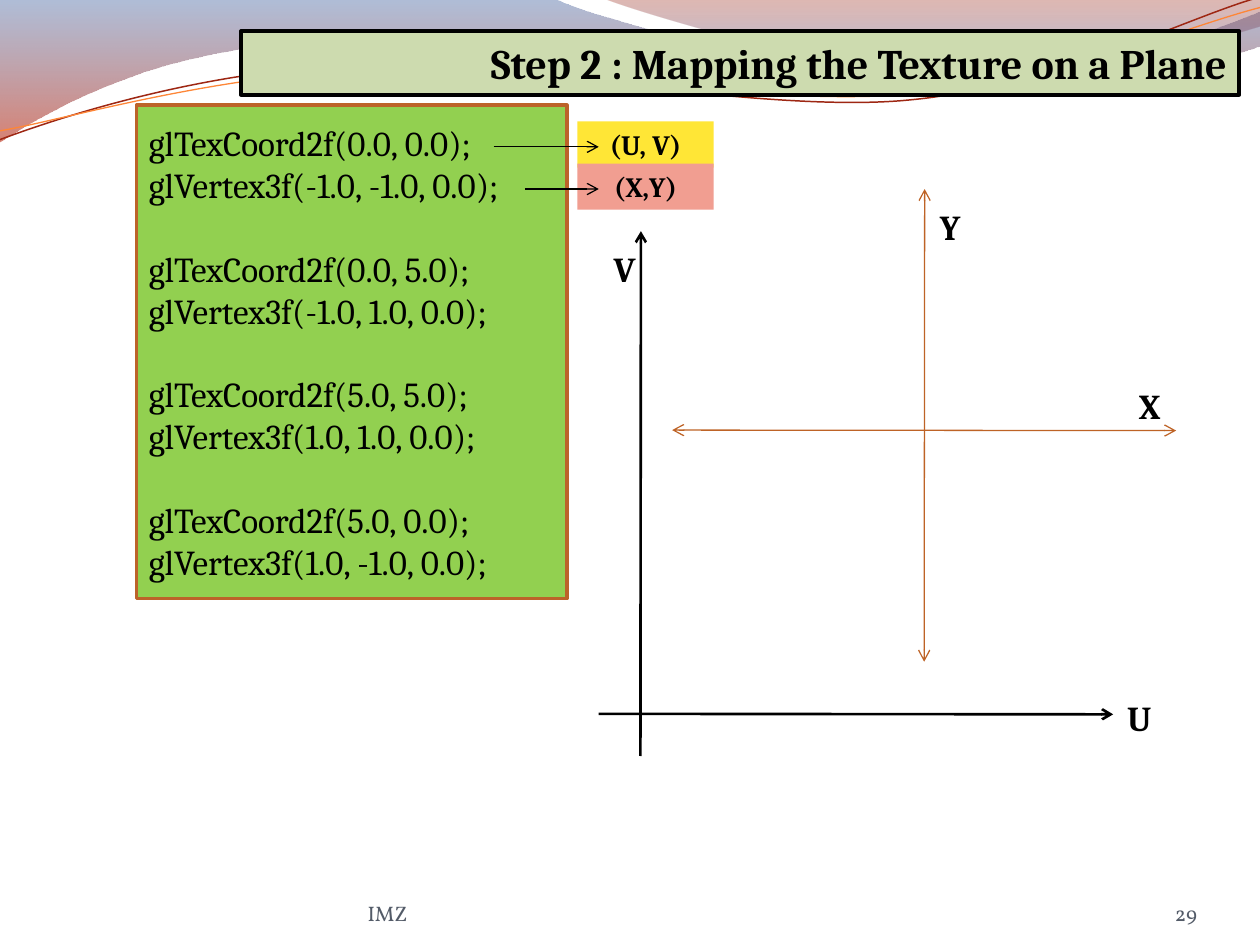
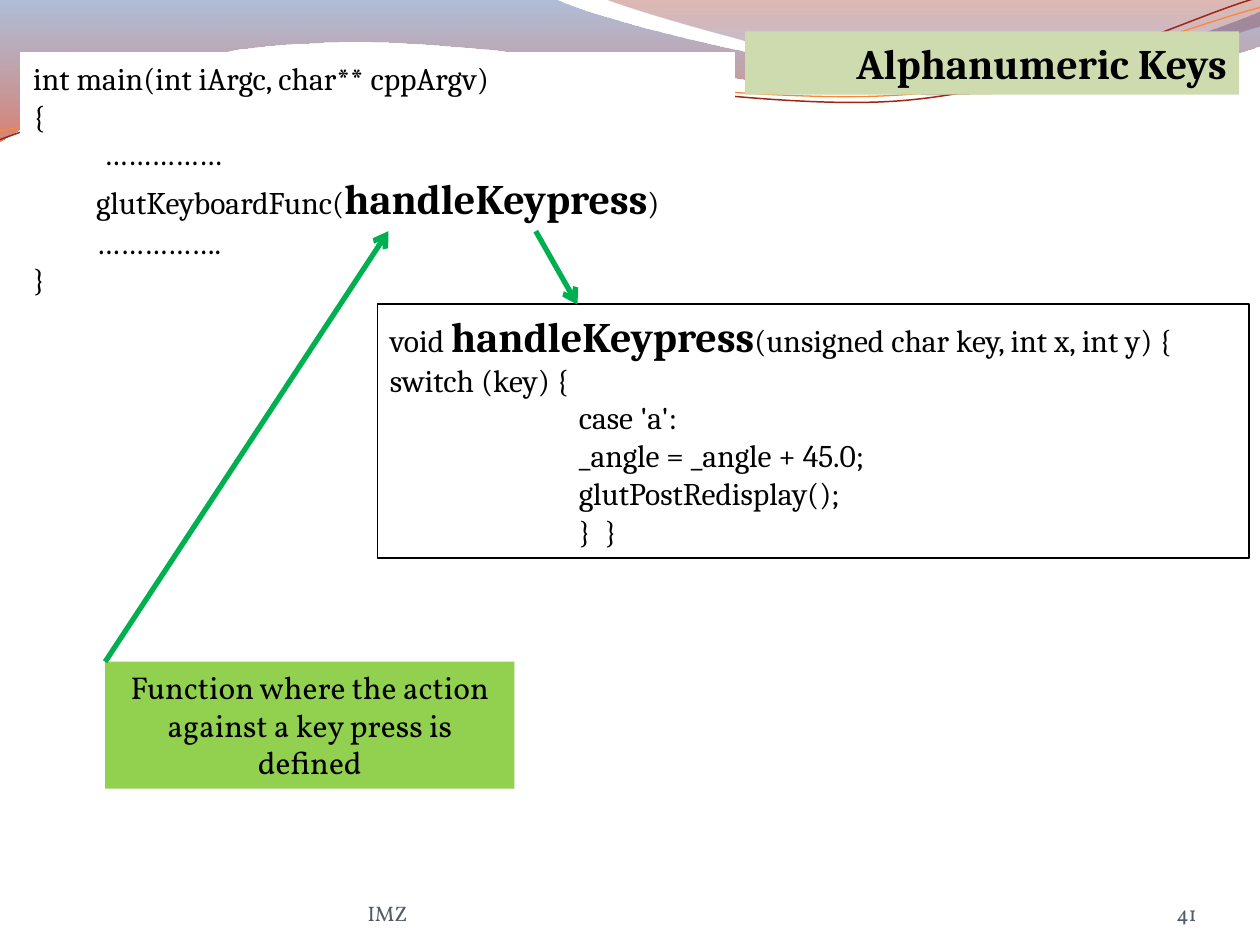
"""Build two lecture slides: texture mapping on a plane and alphanumeric keys."""
from dataclasses import dataclass

from lxml import etree
from pptx import Presentation
from pptx.dml.color import RGBColor
from pptx.enum.shapes import MSO_CONNECTOR, MSO_SHAPE
from pptx.enum.text import MSO_ANCHOR, MSO_AUTO_SIZE, PP_ALIGN
from pptx.oxml.ns import qn
from pptx.util import Cm, Pt

STRAIGHT = MSO_CONNECTOR.STRAIGHT
RECTANGLE = MSO_SHAPE.RECTANGLE
TOP, MIDDLE, BOTTOM = MSO_ANCHOR.TOP, MSO_ANCHOR.MIDDLE, MSO_ANCHOR.BOTTOM
FIXED_SIZE = MSO_AUTO_SIZE.NONE
LEFT, CENTER, RIGHT = PP_ALIGN.LEFT, PP_ALIGN.CENTER, PP_ALIGN.RIGHT
TITLE_ONLY = 5
THREAD_TILT = 357.3


def text_style(name, size, bold=False):
    """Return the font values of one kind of text."""
    return {"name": name, "size": Pt(size), "bold": bold}


@dataclass(frozen=True)
class Theme:
    """Hold the colours and text styles that the slides share."""
    ink: str = "000000"
    paper: str = "FFFFFF"
    muted: str = "535B68"
    title_band: str = "CDDBAF"
    code_panel: str = "92D050"
    panel_edge: str = "BC6329"
    plane_axis: str = "BE6326"
    texture_tag: str = "FFE636"
    vertex_tag: str = "F19E91"
    pointer: str = "00B050"
    wave_blue: str = "4F6EA8"
    wave_red: str = "B61A00"
    ribbon_red: str = "951500"
    ribbon_blue: str = "5681D1"
    thread_red: str = "9E2713"
    thread_orange: str = "FE8637"
    title = text_style("Cambria", 24, True)
    code = text_style("Cambria", 20)
    listing = text_style("Cambria", 18)
    callback = text_style("Cambria", 24, True)
    tag = text_style("Cambria", 16, True)
    axis = text_style("Cambria", 20, True)
    callout = text_style("Vollkorn", 18)
    footer = text_style("Vollkorn", 12)


THEME = Theme()
CALLBACK = "handleKeypress"

WAVE = [[(0, 0)], [(11.18, -0.03)],
        [(12.09, 0.43), (16.87, 1.6), (19.25, 1.6)],
        [(21.67, 1.6), (24.33, 0.66), (25.4, 0.23)], [(25.43, 0.91)],
        [(24.97, 1.12), (22.1, 1.93), (18.95, 1.91)],
        [(15.8, 1.91), (9.7, 0.71), (6.53, 0.86)],
        [(3.28, 0.91), (1.17, 2.11), (-0.03, 2.87)], [(0, 0)]]
RIBBON = [[(12.17, -0.03)],
          [(12.93, 0.28), (17.32, 1.57), (19.53, 1.65)],
          [(21.74, 1.75), (24.41, 0.81), (25.4, 0.53)], [(25.4, 0)],
          [(12.17, -0.03)]]
RED_THREAD = [[(-0.06, 2.22)],
              [(1.18, 1.82), (4.01, 1.04), (7.05, 1.05)],
              [(10.04, 1.07), (15.02, 2.37), (18.08, 2.29)],
              [(21.14, 2.2), (23.88, 0.91), (25.42, 0.55)]]
ORANGE_THREAD = [[(-0.05, 2.04)],
                 [(1.15, 1.9), (4.17, 1.15), (7.19, 1.16)],
                 [(10.25, 1.18), (15.13, 2.25), (18.19, 2.17)],
                 [(21.22, 2.1), (23.94, 1.06), (25.46, 0.75)]]

TEXTURED_CORNERS = [("0.0, 0.0", "-1.0, -1.0"), ("0.0, 5.0", "-1.0, 1.0"),
                    ("5.0, 5.0", "1.0, 1.0"), ("5.0, 0.0", "1.0, -1.0")]
MAIN_LISTING = [("int main(int iArgc, char** cppArgv)", {}), ("{", {}),
                ("……………", {"indent": 1.42}),
                (f"glutKeyboardFunc({CALLBACK})", {"indent": 1.27}),
                ("…………….", {"indent": 1.27}), ("}", {})]
HANDLER_LISTING = [(f"void {CALLBACK}(unsigned char key, int x, int y) {{", {}),
                   ("switch (key) {", {})] + [
    (statement, {"indent": 3.81}) for statement in
    ("case 'a':", "_angle = _angle + 45.0;", "glutPostRedisplay();", "}  }")]


def rgb(colour):
    """Turn a hex string into a colour."""
    return RGBColor.from_string(colour)


def apply_format(target, values):
    """Set each named value on the target."""
    for name, value in values.items():
        setattr(target, name, value)


def lengths(*centimetres):
    """Convert centimetres to slide lengths."""
    return [Cm(value) for value in centimetres]


def paint(shape, fill=None, line=None, width=0.75):
    """Give a shape its fill and outline and take its shadow away."""
    shape.shadow.inherit = False
    if fill:
        shape.fill.solid()
        shape.fill.fore_color.rgb = rgb(fill)
    else:
        shape.fill.background()
    if line:
        shape.line.color.rgb = rgb(line)
        shape.line.width = Pt(width)
    else:
        shape.line.fill.background()


def add_run(paragraph, text, style, colour):
    """Add one run of styled text."""
    run = paragraph.add_run()
    run.text = text
    apply_format(run.font, style)
    run.font.color.rgb = rgb(colour)


def write(frame, lines, style, align=LEFT, colour=THEME.ink, **frame_format):
    """Fill a text frame with lines, setting the callback name larger."""
    apply_format(frame, {"word_wrap": True, "auto_size": FIXED_SIZE,
                         "vertical_anchor": TOP, **frame_format})
    for number, (text, layout) in enumerate(lines):
        paragraph = frame.add_paragraph() if number else frame.paragraphs[0]
        apply_format(paragraph, {"alignment": align, "space_before":
                                 Pt(layout.get("space_before", 0))})
        if "indent" in layout:
            properties = paragraph._p.get_or_add_pPr()
            properties.set("marL", str(Cm(layout["indent"])))
        for part in filter(None, text.partition(CALLBACK)):
            part_style = THEME.callback if part == CALLBACK else style
            add_run(paragraph, part, part_style, colour)


def add_panel(slide, place, lines, style, fill=None, line=None, width=0.75,
              **text_format):
    """Add a rectangle that holds text."""
    panel = slide.shapes.add_shape(RECTANGLE, *lengths(*place))
    paint(panel, fill, line, width)
    write(panel.text_frame, lines, style, **text_format)


def add_label(slide, place, text, style, **text_format):
    """Add one line of free text."""
    label = slide.shapes.add_textbox(*lengths(*place))
    write(label.text_frame, [(text, {})], style, **text_format)


def add_arrow(slide, ends, colour, width=0.75, double=False):
    """Add a straight arrow, pointing one way or both."""
    arrow = slide.shapes.add_connector(STRAIGHT, *lengths(*ends))
    arrow.line.color.rgb = rgb(colour)
    arrow.line.width = Pt(width)
    properties = arrow.element.spPr
    outline = properties.find(qn("a:ln"))
    for end in ("a:headEnd", "a:tailEnd") if double else ("a:tailEnd",):
        etree.SubElement(outline, qn(end), type="arrow")
    etree.SubElement(properties, qn("a:effectLst"))


def bend(outline, segments):
    """Turn each run of three strokes of an outline into one cubic curve."""
    strokes = iter(list(outline.element.iter(qn("a:lnTo"))))
    for segment in segments[1:]:
        group = [next(strokes) for _ in segment]
        if len(group) == 3:
            curve = etree.Element(qn("a:cubicBezTo"))
            group[0].addprevious(curve)
            for stroke in group:
                curve.append(stroke[0])
                stroke.getparent().remove(stroke)


def draw_outline(slide, segments, close):
    """Draw a freeform through straight and curved segments."""
    start, *rest = [lengths(*point) for segment in segments
                    for point in segment]
    builder = slide.shapes.build_freeform(*start)
    builder.add_line_segments(rest, close=close)
    outline = builder.convert_to_shape()
    bend(outline, segments)
    paint(outline)
    return outline


def draw_band(slide, segments, stops):
    """Draw a closed band with a see-through gradient from top to bottom."""
    band = draw_outline(slide, segments, True)
    band.fill.gradient()
    band.fill.gradient_angle = 270
    for stop, (position, colour, _) in zip(band.fill.gradient_stops, stops):
        stop.position = position
        stop.color.rgb = rgb(colour)
    for tint, (_, _, opacity) in zip(band.element.iter(qn("a:srgbClr")), stops):
        etree.SubElement(tint, qn("a:alpha"), val=str(opacity * 1000))
    return band


def draw_thread(slide, segments, colour, width):
    """Draw an open curved line, slightly tilted."""
    thread = draw_outline(slide, segments, False)
    paint(thread, line=colour, width=width)
    thread.rotation = THREAD_TILT
    return thread


def decorate_master(deck, slide):
    """Draw the waves on a slide and hand them to the slide master."""
    waves = [
        draw_band(slide, WAVE, [(0, THEME.wave_blue, 45),
                                (1, THEME.wave_red, 55)]),
        draw_band(slide, RIBBON, [(0, THEME.ribbon_red, 30),
                                  (0.8, THEME.ribbon_blue, 45)]),
        draw_thread(slide, RED_THREAD, THEME.thread_red, 0.85),
        draw_thread(slide, ORANGE_THREAD, THEME.thread_orange, 0.75)]
    for wave in waves:
        deck.slide_master.shapes.element.append(wave.element)


def start_slide(deck, heading, left, number, edge=None):
    """Add a slide with its title band, footer and number."""
    slide = deck.slides.add_slide(deck.slide_layouts[TITLE_ONLY])
    title = slide.shapes.title
    place = lengths(left, 0.63, 24.98 - left, 1.28)
    apply_format(title, dict(zip(("left", "top", "width", "height"), place)))
    paint(title, THEME.title_band, edge, 2.25)
    write(title.text_frame, [(heading, {})], THEME.title, align=RIGHT)
    flush = dict.fromkeys(("margin_left", "margin_right", "margin_top",
                           "margin_bottom"), 0)
    for place, text, align in (((7.41, 17.65, 9.31, 1.01), "IMZ", LEFT),
                               ((22.01, 17.65, 2.12, 1.01), number, RIGHT)):
        add_label(slide, place, text, THEME.footer, align=align,
                  colour=THEME.muted, vertical_anchor=BOTTOM, **flush)
    return slide


def fill_texture_slide(slide):
    """Show the mapping calls beside the texture and plane axes."""
    calls = []
    for number, (texture, vertex) in enumerate(TEXTURED_CORNERS):
        gap = {"space_before": 23.7} if number else {}
        calls += [(f"glTexCoord2f({texture});", gap),
                  (f"glVertex3f({vertex}, 0.0);", {})]
    add_panel(slide, (2.75, 2.12, 8.68, 9.95), calls, THEME.code,
              THEME.code_panel, THEME.panel_edge, 2, vertical_anchor=MIDDLE)
    for ends in ((18.64, 3.81, 18.63, 13.34), (13.55, 8.67, 23.71, 8.68)):
        add_arrow(slide, ends, THEME.plane_axis, double=True)
    for top, text, fill in ((2.45, "(U, V)", THEME.texture_tag),
                            (3.3, "(X,Y)", THEME.vertex_tag)):
        add_panel(slide, (11.64, top, 2.75, 0.93), [(text, {})], THEME.tag,
                  fill, align=CENTER)
    for left, level in ((9.95, 2.96), (10.58, 3.81)):
        add_arrow(slide, (left, level, 12.07, level), THEME.ink)
    for ends in ((12.07, 14.39, 22.44, 14.4), (12.91, 15.24, 12.92, 4.66)):
        add_arrow(slide, ends, THEME.ink, 1.5)
    for left, top, name in ((22.01, 7.62, "X"), (17.99, 4.02, "Y"),
                            (21.8, 13.92, "U"), (11.43, 4.87, "V")):
        add_label(slide, (left, top, 2.33, 1.11), name, THEME.axis,
                  align=CENTER)


def fill_keys_slide(slide):
    """Show how the key handler is registered and defined."""
    add_panel(slide, (0.42, 1.06, 14.39, 5.13), MAIN_LISTING, THEME.listing,
              THEME.paper, THEME.paper)
    add_panel(slide, (7.61, 6.13, 17.57, 5.12), HANDLER_LISTING, THEME.listing,
              line=THEME.ink)
    explanation = "Function where the action against a key press is defined"
    add_panel(slide, (2.12, 13.34, 8.25, 2.56), [(explanation, {})],
              THEME.callout, THEME.code_panel, align=CENTER)
    for ends in ((2.12, 13.34, 7.83, 4.66), (10.8, 4.66, 11.64, 6.14)):
        add_arrow(slide, ends, THEME.pointer, 3)


def main():
    """Build and save the slides."""
    deck = Presentation()
    deck.slide_width, deck.slide_height = lengths(25.4, 19.05)
    texture_slide = start_slide(
        deck, "Step 2 : Mapping the Texture on a Plane", 4.86, "29", THEME.ink)
    decorate_master(deck, texture_slide)
    fill_texture_slide(texture_slide)
    fill_keys_slide(start_slide(deck, "Alphanumeric Keys", 15.02, "41"))
    deck.save("out.pptx")


if __name__ == "__main__":
    main()
